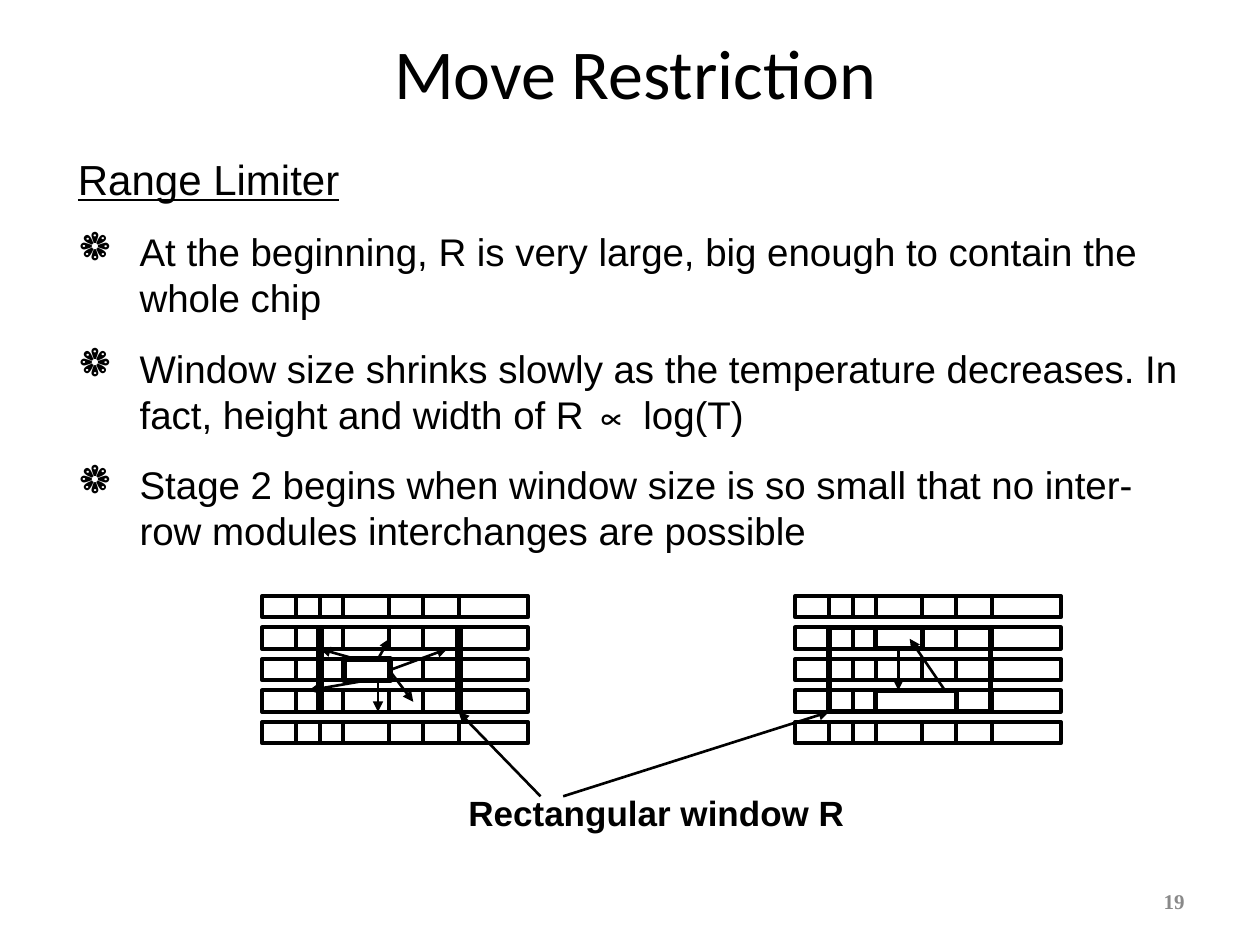
from lxml import etree
from pptx import Presentation
from pptx.dml.color import RGBColor
from pptx.enum import shapes, text
from pptx.oxml.ns import qn
from pptx.util import Inches, Pt

HUES = {"ink": "000000", "paper": "FFFFFF", "page": "898989"}

TITLE = "Move Restriction"
HEAD = "Range Limiter"
POINTS = [
    "At the beginning, R is very large, big enough to contain the whole chip",
    "Window size shrinks slowly as the temperature decreases. "
    "In fact, height and width of R ∝ log(T)",
    "Stage 2 begins when window size is so small that no inter-row "
    "modules interchanges are possible",
]
LABEL = "Rectangular window R"
PAGE = "19"

# Chip rows: size, pitch and the cell walls measured from the left edge
TOP, PITCH, ROWS = 4.73, 0.25, 5
WIDE, HIGH = 2.11, 0.17
WALLS = [0.27, 0.46, 0.64, 1.01, 1.28, 1.56]

# Boxes: left, top, width, height, fill.  Lines: x1, y1, x2, y2
CHIPS = [
    {
        "left": 2.08,
        "sides": [(2.54, 4.98, 2.54, 5.65), (3.64, 4.98, 3.64, 5.65)],
        "boxes": [(2.73, 5.23, 0.37, 0.17, None)],
        "moves": [
            (3.09, 5.32, 3.55, 5.15), (3, 5.23, 3.09, 5.07),
            (2.82, 5.23, 2.54, 5.15), (3.09, 5.32, 3.28, 5.57),
            (3, 5.4, 3, 5.65), (2.91, 5.4, 2.45, 5.48),
        ],
    },
    {
        "left": 6.31,
        "sides": [],
        "boxes": [
            (6.58, 4.98, 1.28, 0.67, None),
            (6.95, 5.48, 0.64, 0.17, "paper"),
            (6.95, 4.98, 0.37, 0.17, None),
        ],
        "moves": [(7.5, 5.48, 7.22, 5.07), (7.13, 5.15, 7.13, 5.48)],
    },
]
POINTERS = [(4.29, 6.32, 3.64, 5.65), (4.47, 6.32, 6.58, 5.65)]


def hue(name):
    return RGBColor.from_string(HUES[name])


def add_run(para, words, size, face, tint="ink", bold=False, under=False):
    run = para.add_run()
    run.text = words
    font = run.font
    font.size, font.name = Pt(size), face
    font.bold, font.underline = bold, under
    font.color.rgb = hue(tint)


def add_text(home, area, anchor, wrap=True):
    box = home.add_textbox(*map(Inches, area))
    frame = box.text_frame
    frame.word_wrap = wrap
    frame.vertical_anchor = anchor
    return frame


def add_box(home, area, width, fill=None):
    box = home.add_shape(shapes.MSO_SHAPE.RECTANGLE, *map(Inches, area))
    box.shadow.inherit = False
    if fill:
        box.fill.solid()
        box.fill.fore_color.rgb = hue(fill)
    else:
        box.fill.background()
    box.line.color.rgb = hue("ink")
    box.line.width = Pt(width)


def add_line(home, ends, width, arrow=False):
    line = home.add_connector(shapes.MSO_CONNECTOR.STRAIGHT, *map(Inches, ends))
    line.line.color.rgb = hue("ink")
    line.line.width = Pt(width)
    if arrow:
        etree.SubElement(line.line._get_or_add_ln(), qn("a:tailEnd"), type="triangle")
    etree.SubElement(line._element.spPr, qn("a:effectLst"))


def add_bullet(para):
    props = para._p.get_or_add_pPr()
    props.set("marL", str(Inches(0.49)))
    props.set("indent", str(Inches(-0.49)))
    tint = etree.SubElement(props, qn("a:buClr"))
    etree.SubElement(tint, qn("a:srgbClr"), val=HUES["ink"])
    etree.SubElement(props, qn("a:buChar"), char="❁")


def add_chip(home, chip):
    left = chip["left"]
    for row in range(ROWS):
        top = TOP + row * PITCH
        add_box(home, (left, top, WIDE, HIGH), 2.25)
        for wall in WALLS:
            add_line(home, (left + wall, top, left + wall, top + HIGH), 2.25)
    for side in chip["sides"]:
        add_line(home, side, 4.5)
    for *area, fill in chip["boxes"]:
        add_box(home, area, 3, fill)
    for move in chip["moves"]:
        add_line(home, move, 1.5, arrow=True)


def main():
    deck = Presentation()
    deck.slide_width, deck.slide_height = Inches(10), Inches(7.5)
    slide = deck.slides.add_slide(deck.slide_layouts[5])
    middle = text.MSO_ANCHOR.MIDDLE

    title = slide.shapes.title
    title.left, title.top, title.width, title.height = map(
        Inches, (0.58, 0.25, 8.92, 0.63))
    title.text_frame.vertical_anchor = middle
    para = title.text_frame.paragraphs[0]
    para.alignment = text.PP_ALIGN.CENTER
    add_run(para, TITLE, 40, "Calibri")

    frame = add_text(slide.shapes, (7.17, 6.95, 2.33, 0.4), middle)
    para = frame.paragraphs[0]
    para.alignment = text.PP_ALIGN.RIGHT
    add_run(para, PAGE, 12, "Times New Roman", "page", bold=True)

    frame = add_text(slide.shapes, (0.52, 1.17, 9, 3.27), text.MSO_ANCHOR.TOP)
    add_run(frame.paragraphs[0], HEAD, 24, "Arial", under=True)
    for point in POINTS:
        para = frame.add_paragraph()
        add_bullet(para)
        para.space_before = Pt(13.8)
        add_run(para, point, 22, "Arial")

    for chip in CHIPS:
        add_chip(slide.shapes.add_group_shape().shapes, chip)

    legend = slide.shapes.add_group_shape().shapes
    frame = add_text(legend, (3.46, 6.23, 3.5, 0.44), middle, wrap=False)
    para = frame.paragraphs[0]
    para.alignment = text.PP_ALIGN.CENTER
    add_run(para, LABEL, 20, "Arial", bold=True)
    for pointer in POINTERS:
        add_line(legend, pointer, 1.5, arrow=True)

    deck.save("out.pptx")


if __name__ == "__main__":
    main()
